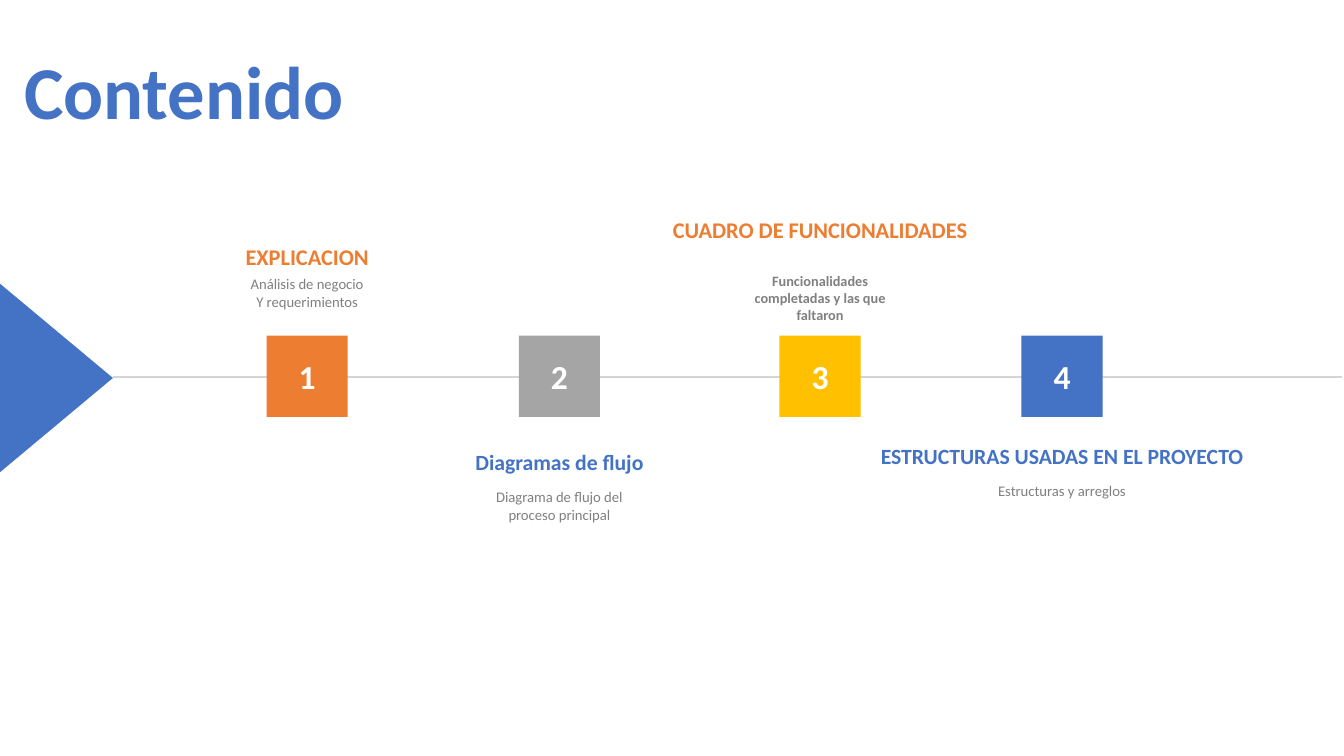
"""Build the contents slide: four numbered steps along a timeline."""
from dataclasses import dataclass

from lxml import etree
from pptx import Presentation
from pptx.dml.color import RGBColor
from pptx.enum import shapes, text
from pptx.oxml.ns import qn
from pptx.util import Pt


@dataclass(frozen=True)
class Theme:
    font: str = "Calibri"
    blue: str = "4472C4"
    orange: str = "ED7D31"
    gray: str = "A5A5A5"
    yellow: str = "FFC000"
    body: str = "808080"
    line: str = "D5D5D5"
    white: str = "FFFFFF"
    title_size: float = 53.3
    number_size: float = 24
    upper_size: float = 16
    lower_size: float = 15.5
    body_size: float = 10.5
    bold_body_size: float = 10.2


THEME = Theme()
WIDTH, HEIGHT = 960, 540
AXIS_Y = 269.3
SQUARE = 58
HEADING_WIDTH, HEADING_HEIGHT = 133.2, 28.8
BODY_HEIGHT = 49.7
ARROW_LENGTH, ARROW_SPAN = 80.64, 134.64

TITLE = "Contenido"
STEPS = [
    dict(center=219.4, fill=THEME.orange, above=True, heading="EXPLICACION", heading_top=169.9,
         body=["Análisis de negocio", "Y requerimientos"], body_top=193, body_width=139),
    dict(center=399.6, fill=THEME.gray, above=False, heading="Diagramas de flujo", heading_top=316.8,
         body=["Diagrama de flujo del proceso principal"], body_top=344.9, body_width=139.7),
    dict(center=585.8, fill=THEME.yellow, above=True, heading="CUADRO DE FUNCIONALIDADES",
         heading_top=151.2, body=["Funcionalidades completadas\u00a0y las que faltaron"],
         body_top=190.8, body_width=139, bold_body=True),
    dict(center=758.6, fill=THEME.blue, above=False, heading="ESTRUCTURAS USADAS EN EL PROYECTO",
         heading_top=312.5, body=["Estructuras y arreglos"], body_top=340.6, body_width=172.8),
]


def write(shape, lines, size, color, bold=False, align=text.PP_ALIGN.CENTER,
          anchor=text.MSO_ANCHOR.TOP, wrap=True):
    frame = shape.text_frame
    frame.word_wrap = wrap
    frame.auto_size = text.MSO_AUTO_SIZE.NONE
    frame.vertical_anchor = anchor
    for index, line in enumerate(lines):
        paragraph = frame.add_paragraph() if index else frame.paragraphs[0]
        paragraph.alignment = align
        run = paragraph.add_run()
        run.text = line
        run.font.name = THEME.font
        run.font.size = Pt(size)
        run.font.bold = bold
        run.font.color.rgb = RGBColor.from_string(color)


def add_block(slide, kind, left, top, width, height, color):
    shape = slide.shapes.add_shape(kind, Pt(left), Pt(top), Pt(width), Pt(height))
    shape.shadow.inherit = False
    shape.fill.solid()
    shape.fill.fore_color.rgb = RGBColor.from_string(color)
    shape.line.fill.background()
    return shape


def add_centered_text(slide, center, top, width, height):
    return slide.shapes.add_textbox(Pt(center - width / 2), Pt(top), Pt(width), Pt(height))


def add_title(slide):
    title = slide.shapes.title
    title.left, title.top, title.width, title.height = Pt(10), Pt(28.8), Pt(389.5), Pt(73.4)
    write(title, [TITLE], THEME.title_size, THEME.blue, True, text.PP_ALIGN.LEFT)


def add_axis(slide):
    arrow = add_block(slide, shapes.MSO_SHAPE.ISOSCELES_TRIANGLE,
                      (ARROW_LENGTH - ARROW_SPAN) / 2, AXIS_Y + 0.7 - ARROW_LENGTH / 2,
                      ARROW_SPAN, ARROW_LENGTH, THEME.blue)
    arrow.rotation = 90
    axis = slide.shapes.add_connector(shapes.MSO_CONNECTOR.STRAIGHT,
                                      Pt(ARROW_LENGTH), Pt(AXIS_Y), Pt(958.5), Pt(AXIS_Y))
    axis.line.color.rgb = RGBColor.from_string(THEME.line)
    axis.line.width = Pt(1)
    etree.SubElement(axis._element.spPr, qn("a:effectLst"))


def add_step(slide, number, step):
    center = step["center"]
    square = add_block(slide, shapes.MSO_SHAPE.RECTANGLE, center - SQUARE / 2,
                       AXIS_Y - SQUARE / 2 - 0.5, SQUARE, SQUARE, step["fill"])
    write(square, [str(number)], THEME.number_size, THEME.white, True,
          anchor=text.MSO_ANCHOR.MIDDLE)

    bold = step.get("bold_body", False)
    body = add_centered_text(slide, center, step["body_top"], step["body_width"], BODY_HEIGHT)
    write(body, step["body"], THEME.bold_body_size if bold else THEME.body_size, THEME.body, bold)

    size, color = ((THEME.upper_size, THEME.orange) if step["above"]
                   else (THEME.lower_size, THEME.blue))
    heading = add_centered_text(slide, center, step["heading_top"], HEADING_WIDTH, HEADING_HEIGHT)
    write(heading, [step["heading"]], size, color, True, wrap=False)


def main():
    presentation = Presentation()
    presentation.slide_width, presentation.slide_height = Pt(WIDTH), Pt(HEIGHT)
    slide = presentation.slides.add_slide(presentation.slide_layouts.get_by_name("Title Only"))
    add_title(slide)
    add_axis(slide)
    for number, step in enumerate(STEPS, 1):
        add_step(slide, number, step)
    presentation.save("out.pptx")


if __name__ == "__main__":
    main()
